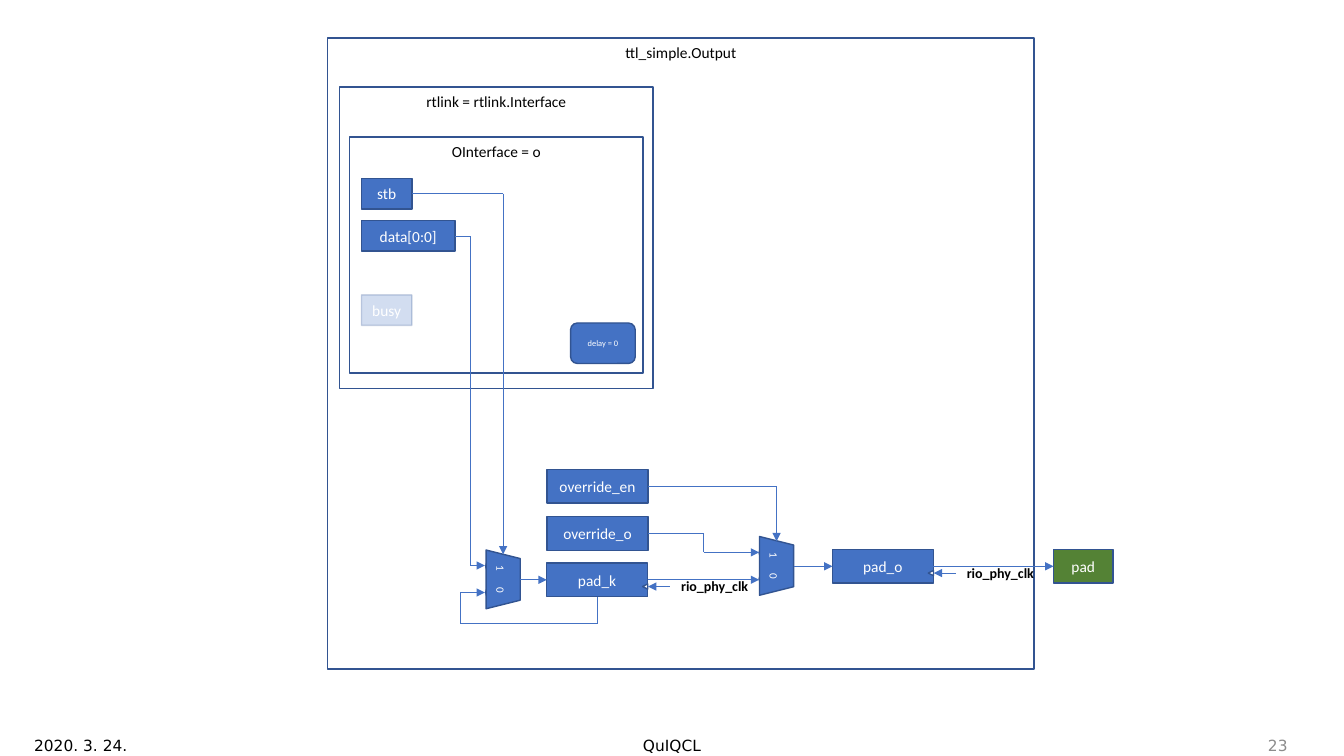
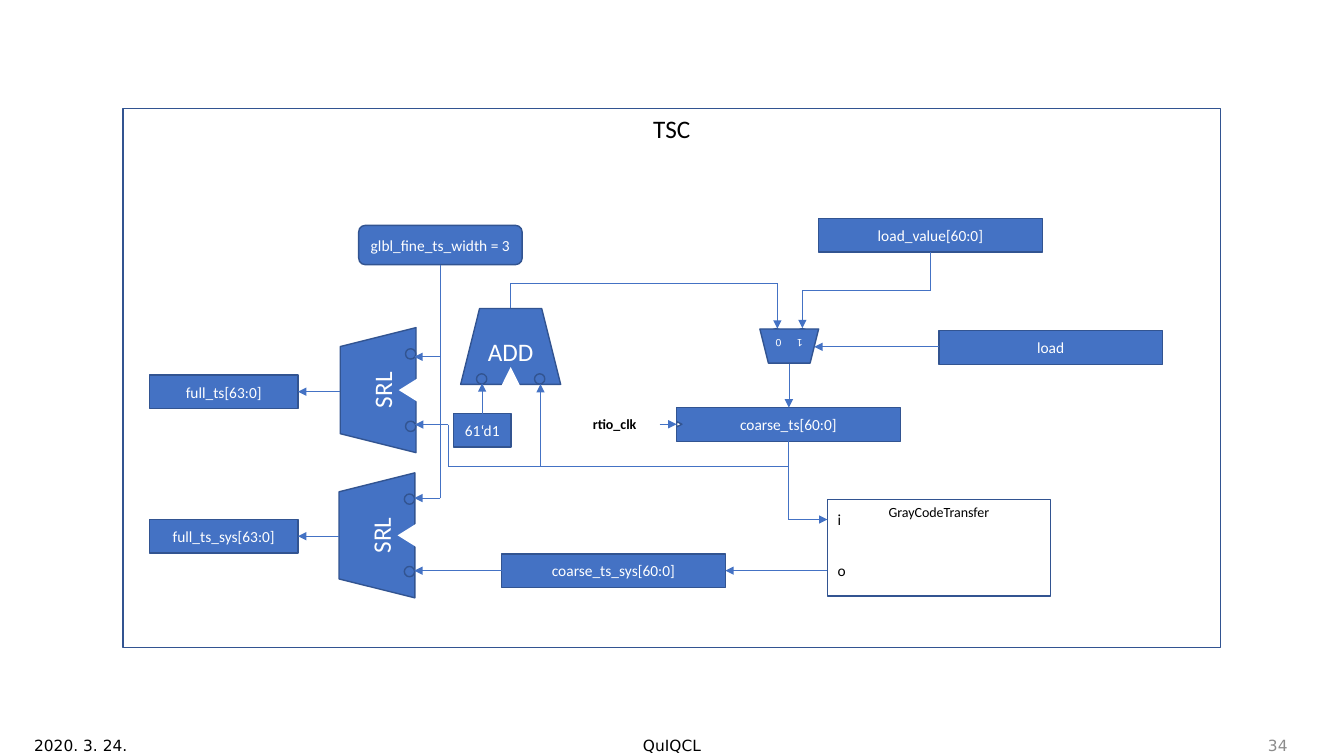
"""Draws two block diagrams of digital logic, a TTL output and a time stamp counter."""
from itertools import pairwise
from math import cos, radians, sin

from lxml.etree import SubElement
from pptx import Presentation
from pptx.dml.color import RGBColor
from pptx.enum.shapes import MSO_CONNECTOR as Connector, MSO_SHAPE as Shape
from pptx.enum.text import MSO_ANCHOR as Anchor, PP_ALIGN as Align
from pptx.oxml.ns import qn
from pptx.util import Cm, Pt

COLORS = {
    "block": "4472C4",
    "edge": "325491",
    "pad": "548235",
    "white": "FFFFFF",
    "black": "000000",
    "gray": "8C8C8C",
}
BLOCK_HEIGHT = 0.85
BUS_WIDTH = 5.64


def rgb(name):
    return RGBColor.from_string(COLORS[name])


def turn(center, offset, degrees):
    (x, y), (u, v), angle = center, offset, radians(degrees)
    return x + u * cos(angle) - v * sin(angle), y + u * sin(angle) + v * cos(angle)


def write(shape, text, size=11, color="white", font="Calibri", bold=False,
          align=Align.CENTER, anchor=Anchor.MIDDLE, margin=0.0):
    frame = shape.text_frame
    frame.word_wrap = True
    frame.vertical_anchor = anchor
    frame.margin_left = frame.margin_right = Cm(0)
    frame.margin_top = frame.margin_bottom = Cm(margin)
    paragraph = frame.paragraphs[0]
    paragraph.alignment = align
    run = paragraph.add_run()
    run.text = text
    run.font.size = Pt(size)
    run.font.name = font
    run.font.bold = bold
    run.font.color.rgb = rgb(color)


class Diagram:
    """Holds the current slide and draws the elements of a logic diagram in centimetres."""

    def __init__(self, presentation, number):
        self.slide = presentation.slides.add_slide(presentation.slide_layouts[6])
        footers = (
            ("2020. 3. 24.", 0.86, 7.1, Align.LEFT, "black"),
            ("QuIQCL", 11.22, 11.43, Align.CENTER, "black"),
            (str(number), 25.35, 7.1, Align.RIGHT, "gray"),
        )
        for text, left, width, align, color in footers:
            self.label(text, left, 18.53, width, 0.52,
                       color=color, align=align, font="DejaVu Sans")

    def label(self, text, left, top, width, height, rotation=0, **style):
        box = self.slide.shapes.add_textbox(Cm(left), Cm(top), Cm(width), Cm(height))
        box.rotation = rotation
        write(box, text, **style)

    def shape(self, kind, left, top, width, height, fill="block", line="edge", rotation=0):
        shape = self.slide.shapes.add_shape(kind, Cm(left), Cm(top), Cm(width), Cm(height))
        shape.shadow.inherit = False
        shape.rotation = rotation
        if fill:
            shape.fill.solid()
            shape.fill.fore_color.rgb = rgb(fill)
        else:
            shape.fill.background()
        if line:
            shape.line.color.rgb = rgb(line)
            shape.line.width = Pt(1)
        else:
            shape.line.fill.background()
        return shape

    def centered(self, kind, center, width, height, **style):
        x, y = center
        return self.shape(kind, x - width / 2, y - height / 2, width, height, **style)

    def frame(self, text, left, top, width, height, size=11):
        frame = self.shape(Shape.RECTANGLE, left, top, width, height, fill=None)
        write(frame, text, size=size, color="black", anchor=Anchor.TOP, margin=0.12)

    def block(self, text, left, top, width, height=BLOCK_HEIGHT,
              kind=Shape.RECTANGLE, fill="block", size=11, opacity=None):
        block = self.shape(kind, left, top, width, height, fill)
        write(block, text, size=size)
        if opacity:
            for color in block.element.spPr.iter(qn("a:srgbClr")):
                SubElement(color, qn("a:alpha"), val=str(opacity * 1000))

    def ports(self, center, offset, depth, size, rotation):
        for side in (-1, 1):
            port = turn(center, (side * offset, depth), rotation)
            self.centered(Shape.OVAL, port, size, size, rotation=rotation)

    def mux(self, center, rotation):
        self.ports(center, 0.33, 0.3, 0.28, rotation)
        self.centered(Shape.TRAPEZOID, center, 1.48, 0.86, rotation=rotation)
        for text, offset in (("1", -0.27), ("0", 0.27)):
            x, y = turn(center, (offset, 0.06), rotation)
            self.label(text, x - 0.2, y - 0.2, 0.4, 0.4, rotation, size=8)

    def operator(self, text, center, width, rotation=0):
        body = self.centered(Shape.TRAPEZOID, center, width, 1.91, rotation=rotation)
        write(body, text, size=18)
        self.centered(Shape.ISOSCELES_TRIANGLE, turn(center, (0, 0.76), rotation),
                      width * 0.19, 0.48, fill="white", line=None, rotation=rotation)
        self.ports(center, width * 0.29, 0.82, 0.26, rotation)

    def clock(self, text, edge, y, side, gap):
        self.centered(Shape.ISOSCELES_TRIANGLE, (edge - side * 0.07, y), 0.13, 0.13,
                      fill="white", rotation=-90 * side)
        start = edge + side * gap
        self.wire((start, y), (edge, y))
        self.label(text, start + side * 1.13 - 1.13, y - 0.35, 2.26, 0.69,
                   size=10, color="black", bold=True)

    def wire(self, *points):
        shapes = self.slide.shapes
        if len(points) > 2:
            shapes = shapes.add_group_shape().shapes
        for (x1, y1), (x2, y2) in pairwise(points):
            segment = shapes.add_connector(
                Connector.STRAIGHT, Cm(x1), Cm(y1), Cm(x2), Cm(y2))
            segment.line.color.rgb = rgb("block")
            segment.line.width = Pt(0.5)
            SubElement(segment.element.spPr, qn("a:effectLst"))
        SubElement(segment.element.spPr.find(qn("a:ln")), qn("a:tailEnd"), type="triangle")

    def wires(self, routes):
        for route in routes:
            self.wire(*route)


def draw_output(presentation):
    diagram = Diagram(presentation, 23)
    diagram.frame("ttl_simple.Output", 8.26, 0.96, 17.8, 15.9)
    diagram.frame("rtlink = rtlink.Interface", 8.56, 2.19, 7.9, 7.6)
    diagram.frame("OInterface = o", 8.81, 3.45, 7.4, 5.95)
    diagram.block("stb", 9.11, 4.5, 1.27, 0.77)
    diagram.block("data[0:0]", 9.11, 5.56, 2.36, 0.77)
    diagram.block("busy", 9.11, 7.43, 1.27, 0.77, opacity=24)
    diagram.block("delay = 0", 14.38, 8.14, 1.63, 1.02, Shape.ROUNDED_RECTANGLE, size=6)
    diagram.block("pad", 26.55, 13.84, 1.5, fill="pad")
    registers = (
        ("override_en", 13.79, 11.83),
        ("override_o", 13.79, 13.02),
        ("pad_k", 13.78, 14.19),
        ("pad_o", 20.98, 13.84),
    )
    for text, left, top in registers:
        diagram.block(text, left, top, 2.54)
    for center in ((12.68, 14.6), (19.57, 14.26)):
        diagram.mux(center, 90)
    diagram.wires((
        ((10.38, 4.88), (12.68, 4.88), (12.68, 13.97)),
        ((11.47, 5.95), (11.86, 5.95), (11.86, 14.25), (12.22, 14.25)),
        ((15.05, 15.04), (15.05, 15.72), (11.61, 15.72), (11.61, 14.93), (12.22, 14.93)),
        ((13.11, 14.61), (13.78, 14.61)),
        ((16.32, 14.61), (19.13, 14.61)),
        ((16.33, 12.26), (19.57, 12.26), (19.57, 13.64)),
        ((16.33, 13.45), (17.73, 13.45), (17.73, 13.92), (19.13, 13.92)),
        ((20, 14.27), (20.98, 14.27)),
        ((23.52, 14.27), (26.55, 14.27)),
    ))
    for edge, y in ((16.33, 14.78), (23.53, 14.44)):
        diagram.clock("rio_phy_clk", edge, y, 1, 0.55)


def draw_counter(presentation):
    diagram = Diagram(presentation, 34)
    diagram.frame("TSC", 3.1, 2.73, 27.66, 13.59, size=18)
    diagram.frame("GrayCodeTransfer", 20.85, 12.58, 5.62, 2.44, size=10)
    for text, top in (("i", 12.73), ("o", 14)):
        diagram.label(text, 21.11, top, 0.8, 0.74, color="black", align=Align.LEFT)
    diagram.block("glbl_fine_ts_width = 3", 9.04, 5.68, 4.12, 0.99, Shape.ROUNDED_RECTANGLE)
    blocks = (
        ("coarse_ts[60:0]", 17.05, 10.27, BUS_WIDTH),
        ("coarse_ts_sys[60:0]", 12.64, 13.96, BUS_WIDTH),
        ("load", 23.66, 8.33, BUS_WIDTH),
        ("load_value[60:0]", 20.63, 5.5, BUS_WIDTH),
        ("full_ts[63:0]", 3.77, 9.45, 3.74),
        ("full_ts_sys[63:0]", 3.77, 13.09, 3.74),
        ("61‘d1", 11.43, 10.42, 1.45),
    )
    for block in blocks:
        diagram.block(*block)
    diagram.mux((19.89, 8.72), 180)
    diagram.operator("ADD", (12.87, 8.73), 2.52)
    for center in ((9.53, 9.83), (9.5, 13.49)):
        diagram.operator("SRL", center, 3.15, 270)
    diagram.wires((
        ((12.86, 7.77), (12.86, 7.14), (19.59, 7.14), (19.59, 8.28)),
        ((19.88, 9.16), (19.88, 10.27)),
        ((19.87, 11.12), (19.87, 11.76), (13.62, 11.76), (13.62, 9.68)),
        ((13.62, 11.76), (11.3, 11.76), (11.3, 10.7), (10.46, 10.7)),
        ((19.87, 11.76), (19.87, 13.09), (20.85, 13.09)),
        ((12.15, 10.42), (12.15, 9.66)),
        ((23.45, 6.35), (23.45, 7.31), (20.22, 7.31), (20.22, 8.27)),
        ((23.66, 8.74), (20.52, 8.74)),
        ((20.85, 14.38), (18.28, 14.38)),
        ((12.64, 14.38), (10.44, 14.38)),
        ((11.1, 6.67), (11.1, 8.99), (10.44, 8.99)),
        ((11.1, 8.99), (11.1, 12.55), (10.44, 12.55)),
        ((8.58, 9.87), (7.51, 9.87)),
        ((8.54, 13.51), (7.51, 13.51)),
    ))
    diagram.clock("rtio_clk", 17.05, 10.69, -1, 0.43)


def main():
    presentation = Presentation()
    presentation.slide_width = Cm(33.87)
    presentation.slide_height = Cm(19.05)
    draw_output(presentation)
    draw_counter(presentation)
    presentation.save("out.pptx")


if __name__ == "__main__":
    main()
